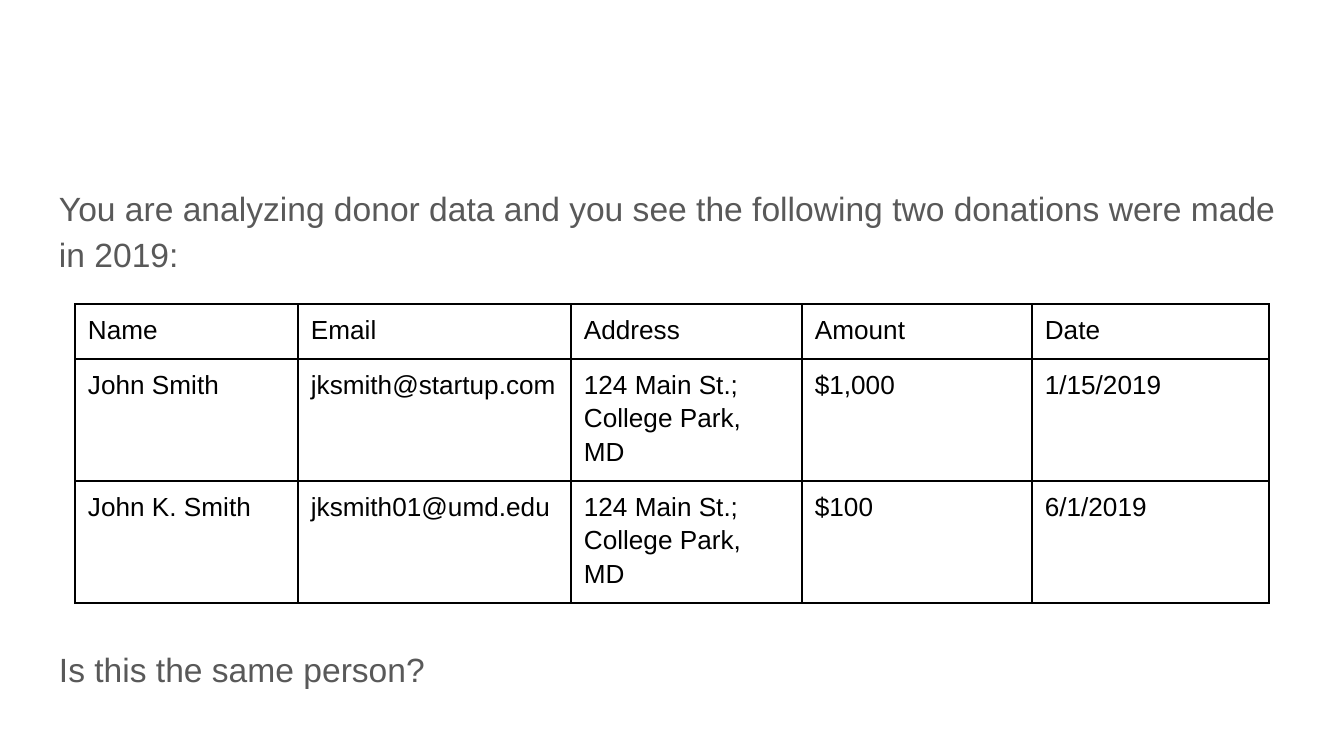
import dataclasses

import lxml.etree
import pptx
import pptx.dml.color
import pptx.enum.text
import pptx.oxml.ns
import pptx.util

EMU_PER_PX = 914400 / 134.4


def px(length):
    return pptx.util.Emu(round(length * EMU_PER_PX))


@dataclasses.dataclass(frozen=True)
class Theme:
    font: str = "Arial"
    body_color: str = "595959"
    table_color: str = "000000"
    border_color: str = "000000"
    background: str = "FFFFFF"
    body_size: int = 18
    table_size: int = 14
    border_width: int = 1
    line_spacing: float = 1.15


class SlideBuilder:
    def __init__(self, theme, slide):
        self.theme = theme
        self.slide = slide
        fill = slide.background.fill
        fill.solid()
        fill.fore_color.rgb = pptx.dml.color.RGBColor.from_string(theme.background)

    def add_wording(self, paragraph, wording, size, color):
        paragraph.line_spacing = self.theme.line_spacing
        run = paragraph.add_run()
        run.text = wording
        run.font.name = self.theme.font
        run.font.size = pptx.util.Pt(size)
        run.font.color.rgb = pptx.dml.color.RGBColor.from_string(color)

    def add_text(self, left, top, width, height, wordings, gap, inset):
        box = self.slide.shapes.add_textbox(px(left), px(top), px(width), px(height))
        frame = box.text_frame
        frame.word_wrap = True
        frame.vertical_anchor = pptx.enum.text.MSO_ANCHOR.TOP
        frame.margin_left = frame.margin_right = px(inset)
        frame.margin_top = frame.margin_bottom = px(inset)
        for index, wording in enumerate(wordings):
            paragraph = frame.paragraphs[0] if index == 0 else frame.add_paragraph()
            if index:
                paragraph.space_before = pptx.util.Pt(gap)
            self.add_wording(paragraph, wording,
                             self.theme.body_size, self.theme.body_color)

    def add_border(self, cell):
        properties = cell._tc.get_or_add_tcPr()
        qn = pptx.oxml.ns.qn
        for position, side in enumerate(("a:lnL", "a:lnR", "a:lnT", "a:lnB")):
            line = lxml.etree.Element(
                qn(side), w=str(pptx.util.Pt(self.theme.border_width)))
            fill = lxml.etree.SubElement(line, qn("a:solidFill"))
            lxml.etree.SubElement(fill, qn("a:srgbClr"), val=self.theme.border_color)
            properties.insert(position, line)

    def add_table(self, left, top, widths, heights, rows, inset_x, inset_y):
        table = self.slide.shapes.add_table(
            len(rows), len(widths), px(left), px(top),
            px(sum(widths)), px(sum(heights))).table
        table.first_row = table.horz_banding = False
        for column, width in zip(table.columns, widths):
            column.width = px(width)
        for row, height, wordings in zip(table.rows, heights, rows):
            row.height = px(height)
            for cell, wording in zip(row.cells, wordings):
                cell.margin_left = cell.margin_right = px(inset_x)
                cell.margin_top = cell.margin_bottom = px(inset_y)
                cell.fill.background()
                self.add_border(cell)
                self.add_wording(cell.text_frame.paragraphs[0], wording,
                                 self.theme.table_size, self.theme.table_color)


def main():
    deck = pptx.Presentation()
    deck.slide_width, deck.slide_height = px(1344), px(756)
    builder = SlideBuilder(Theme(), deck.slides.add_slide(deck.slide_layouts[6]))

    prompt = ("You are analyzing donor data and you see the following "
              "two donations were made in 2019:")
    question = "Is this the same person?"
    builder.add_text(46, 169, 1253, 551, [prompt, question], gap=197, inset=13)

    address = "124 Main St.; College Park, MD"
    donations = [
        ("Name", "Email", "Address", "Amount", "Date"),
        ("John Smith", "jksmith@startup.com", address, "$1,000", "1/15/2019"),
        ("John K. Smith", "jksmith01@umd.edu", address, "$100", "6/1/2019"),
    ]
    builder.add_table(75, 304, [223, 273, 231, 230, 237], [55, 105, 105],
                      donations, inset_x=13, inset_y=7)

    deck.save("out.pptx")


if __name__ == "__main__":
    main()
